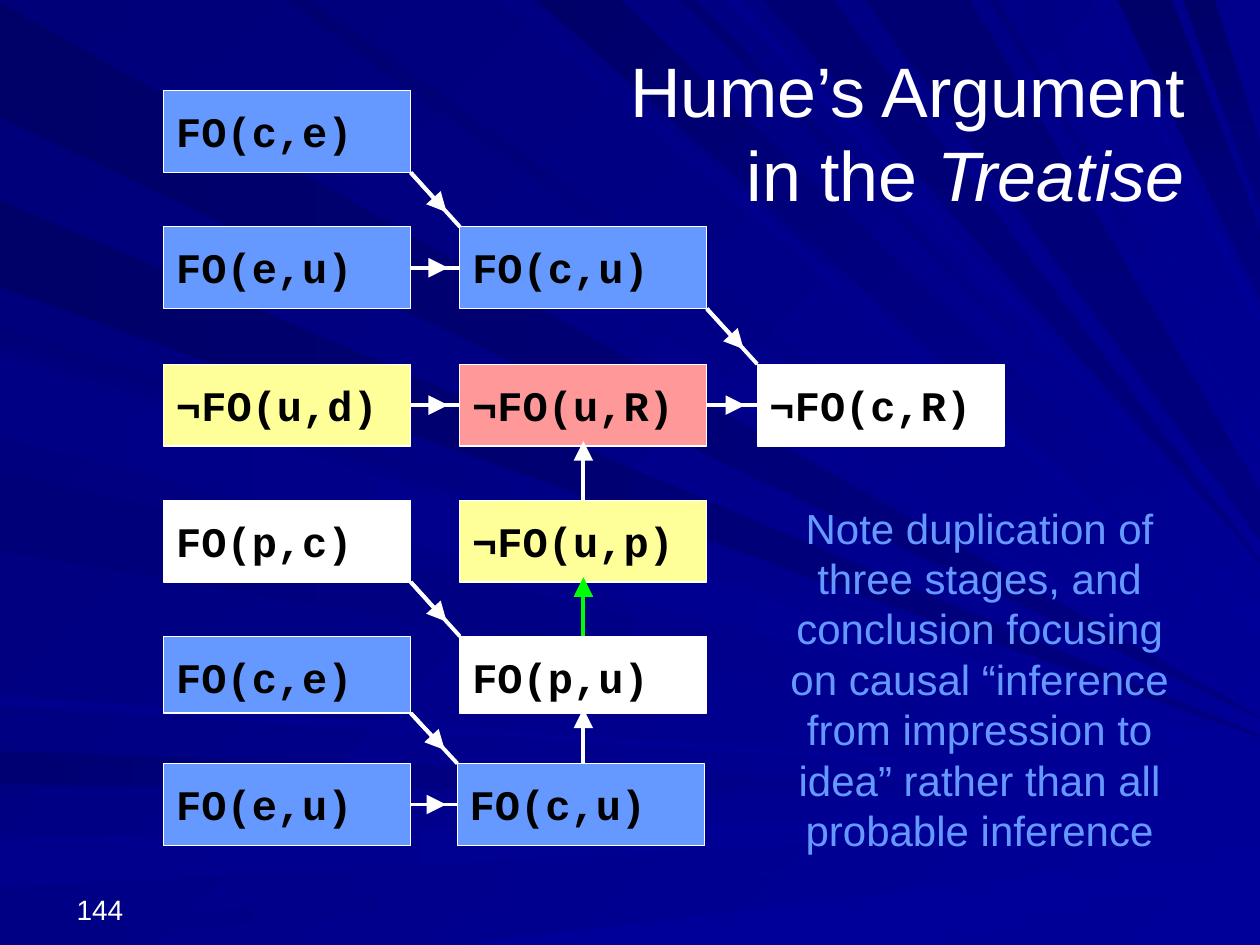
"""Build the slide on Hume's argument in the Treatise."""
from lxml.etree import SubElement
from pptx import Presentation
from pptx.dml.color import RGBColor
from pptx.enum.shapes import MSO_CONNECTOR, MSO_SHAPE
from pptx.enum.text import MSO_ANCHOR, PP_ALIGN
from pptx.oxml.ns import qn
from pptx.util import Inches, Pt

WIDE, HIGH = 10, 7.5
HUES = {"blue": "6699FF", "pink": "FF9999", "cream": "FFFF99",
        "white": "FFFFFF", "green": "00FF00", "black": "000000",
        "night": "000069", "deep": "000073", "dark": "000078",
        "dusk": "000080", "royal": "000085", "dawn": "00008C",
        "navy": "000099"}


def shade(fill, first, last, turn):
    fill.gradient()
    fill.gradient_angle = (360 - turn) % 360
    for stop, hue in zip(fill.gradient_stops, (first, last)):
        stop.color.rgb = RGBColor.from_string(HUES[hue])


def style(para, font, size, hue):
    for run in para.runs:
        run.font.name = font
        run.font.size = Pt(size)
        run.font.color.rgb = RGBColor.from_string(HUES[hue])


deck = Presentation()
deck.slide_width, deck.slide_height = Inches(WIDE), Inches(HIGH)
slide = deck.slides.add_slide(deck.slide_layouts[6])
shapes = slide.shapes
shade(slide.background.fill, "dark", "navy", 45)

# Each ray: side it leaves, span on that side, span on the right edge, hues
RAYS = [
    ("left", (0.02, 0.93), (5.69, 5.7), "night", "dusk"),
    ("top", (1.01, 0.26), (5.62, 5.63), "dark", "navy"),
    ("left", (5.96, 6.23), (6.31, 6.32), "deep", "navy"),
    ("left", (6.65, 7.04), (6.43, 6.51), "dawn", "navy"),
    ("left", (7.35, 7.5), (6.62, 6.62), "royal", "navy"),
    ("bottom", (3.64, 7.42), (6.72, 6.94), "navy", "navy"),
    ("left", (2.58, 2.7), (5.88, 5.89), "dark", "navy"),
    ("left", (1.59, 2.28), (5.84, 5.85), "night", "dusk"),
    ("top", (4.16, 3.98), (5.15, 5.21), "royal", "navy"),
    ("top", (4.92, 4.26), (4.79, 5.07), "night", "navy"),
    ("top", (5.52, 5.4), (4.63, 4.64), "deep", "navy"),
    ("top", (6.61, 6.06), (4.45, 4.46), "deep", "dusk"),
    ("top", (9.3, 8.87), (1.83, 2.37), "night", "dusk"),
    ("top", (9.64, 9.39), (1.14, 1.67), "night", "dusk"),
    ("left", (2.78, 3.42), (5.96, 6.02), "dusk", "navy"),
    ("left", (3.74, 4.37), (6.05, 6.06), "dark", "navy"),
    ("left", (5.52, 5.6), (6.21, 6.23), "dawn", "navy"),
    ("top", (2.47, 2.25), (5.47, 5.52), "deep", "navy"),
    ("top", (5.88, 5.77), (4.53, 4.54), "dawn", "navy"),
    ("top", (7.7, 6.86), (3.9, 4.28), "deep", "dusk"),
    ("top", (7.92, 7.85), (3.54, 3.6), "dark", "navy"),
    ("top", (8.24, 8.15), (3.35, 3.36), "royal", "navy"),
    ("top", (8.72, 8.65), (2.49, 2.58), "dawn", "navy"),
    ("left", (2.83, 3.47), (6.01, 6.06), "royal", "navy"),
]
TURNS = {"navy": 45, "dusk": 90}
for side, (near, far), (high, low), first, last in RAYS:
    if side == "left":
        roots = [(0, near), (0, far)]
    else:
        edge = 0 if side == "top" else HIGH
        roots = [(near, edge), (far, edge)]
    points = [(Inches(x), Inches(y))
              for x, y in roots + [(WIDE, low), (WIDE, high)]]
    pen = shapes.build_freeform(*points[0])
    pen.add_line_segments(points[1:], close=True)
    ray = pen.convert_to_shape()
    ray.shadow.inherit = False
    ray.line.fill.background()
    shade(ray.fill, first, last, TURNS[last] if side == "top" else 0)

COLS = [1.3, 3.65, 6.01]
ROWS = [0.72, 1.8, 2.89, 3.97, 5.05, 6.06]
BOXES = {
    "ce": (COLS[0], 0, "FO(c,e)", "blue"),
    "eu": (COLS[0], 1, "FO(e,u)", "blue"),
    "cu": (COLS[1], 1, "FO(c,u)", "blue"),
    "ud": (COLS[0], 2, "¬FO(u,d)", "cream"),
    "uR": (COLS[1], 2, "¬FO(u,R)", "pink"),
    "cR": (COLS[2], 2, "¬FO(c,R)", "white"),
    "pc": (COLS[0], 3, "FO(p,c)", "white"),
    "up": (COLS[1], 3, "¬FO(u,p)", "cream"),
    "ce2": (COLS[0], 4, "FO(c,e)", "blue"),
    "pu": (COLS[1], 4, "FO(p,u)", "white"),
    "eu2": (COLS[0], 5, "FO(e,u)", "blue"),
    "cu2": (COLS[1] - 0.02, 5, "FO(c,u)", "blue"),
}
made = {}
for key, (left, row, text, hue) in BOXES.items():
    box = shapes.add_shape(MSO_SHAPE.RECTANGLE, Inches(left), Inches(ROWS[row]),
                           Inches(1.96), Inches(0.61 if row == 4 else 0.65))
    box.shadow.inherit = False
    box.fill.solid()
    box.fill.fore_color.rgb = RGBColor.from_string(HUES[hue])
    box.line.color.rgb = RGBColor.from_string(HUES["white"])
    box.line.width = Pt(0.75)
    frame = box.text_frame
    frame.text = text
    frame.vertical_anchor = MSO_ANCHOR.TOP
    frame.margin_top = Inches(0.04)
    para = frame.paragraphs[0]
    para.alignment = PP_ALIGN.LEFT
    para.line_spacing = 1.2
    style(para, "Courier New", 24, "black")
    para.runs[0].font.bold = True
    made[key] = box

LINKS = [
    ("ce", "cu", "slant", "white"), ("eu", "cu", "right", "white"),
    ("cu", "cR", "slant", "white"), ("ud", "uR", "right", "white"),
    ("uR", "cR", "right", "white"), ("up", "uR", "up", "white"),
    ("pu", "up", "up", "green"), ("pc", "pu", "slant", "white"),
    ("ce2", "cu2", "slant", "white"), ("cu2", "pu", "up", "white"),
    ("eu2", "cu2", "right", "white"),
]
REACH = {"right": 0.76, "up": 1.09, "slant": 0.73}
for start, end, way, hue in LINKS:
    a, b = made[start], made[end]
    line = shapes.add_connector(MSO_CONNECTOR.STRAIGHT, a.left + a.width,
                                a.top + a.height, b.left, b.top)
    if way == "right":
        line.begin_connect(a, 3)
        line.end_connect(b, 1)
    elif way == "up":
        line.begin_x, line.begin_y = b.left + b.width // 2, a.top
        line.end_connect(b, 2)
        if a.left == b.left:
            line.begin_connect(a, 0)
    x, y = line.begin_x, line.begin_y
    arrow = shapes.add_connector(
        MSO_CONNECTOR.STRAIGHT, x, y,
        round(x + (line.end_x - x) * REACH[way]),
        round(y + (line.end_y - y) * REACH[way]))
    for part in (line, arrow):
        part.line.color.rgb = RGBColor.from_string(HUES[hue])
        part.line.width = Pt(2.25)
        SubElement(part._element.spPr, qn("a:effectLst"))
    SubElement(arrow.line._get_or_add_ln(), qn("a:tailEnd"),
               type="triangle", w="lg", len="lg")

NOTE = ("Note duplication of three stages, and conclusion focusing on causal "
        "“inference from impression to idea” rather than all probable inference")
TEXTS = [
    (4.53, 0.3, 4.97, 1.48, ["Hume’s Argument in the ", "Treatise"], 40,
     "white", PP_ALIGN.RIGHT, MSO_ANCHOR.MIDDLE),
    (6.06, 3.79, 3.43, 3.19, [NOTE], 24,
     "blue", PP_ALIGN.CENTER, MSO_ANCHOR.MIDDLE),
    (0.51, 6.9, 2.33, 0.5, ["144"], 16,
     "white", PP_ALIGN.LEFT, MSO_ANCHOR.BOTTOM),
]
for left, top, wide, high, words, size, hue, align, anchor in TEXTS:
    frame = shapes.add_textbox(Inches(left), Inches(top), Inches(wide),
                               Inches(high)).text_frame
    frame.word_wrap = True
    frame.vertical_anchor = anchor
    para = frame.paragraphs[0]
    para.alignment = align
    for word in words:
        para.add_run().text = word
    style(para, "Arial", size, hue)
    for run in para.runs[1:]:
        run.font.italic = True

deck.save("out.pptx")
